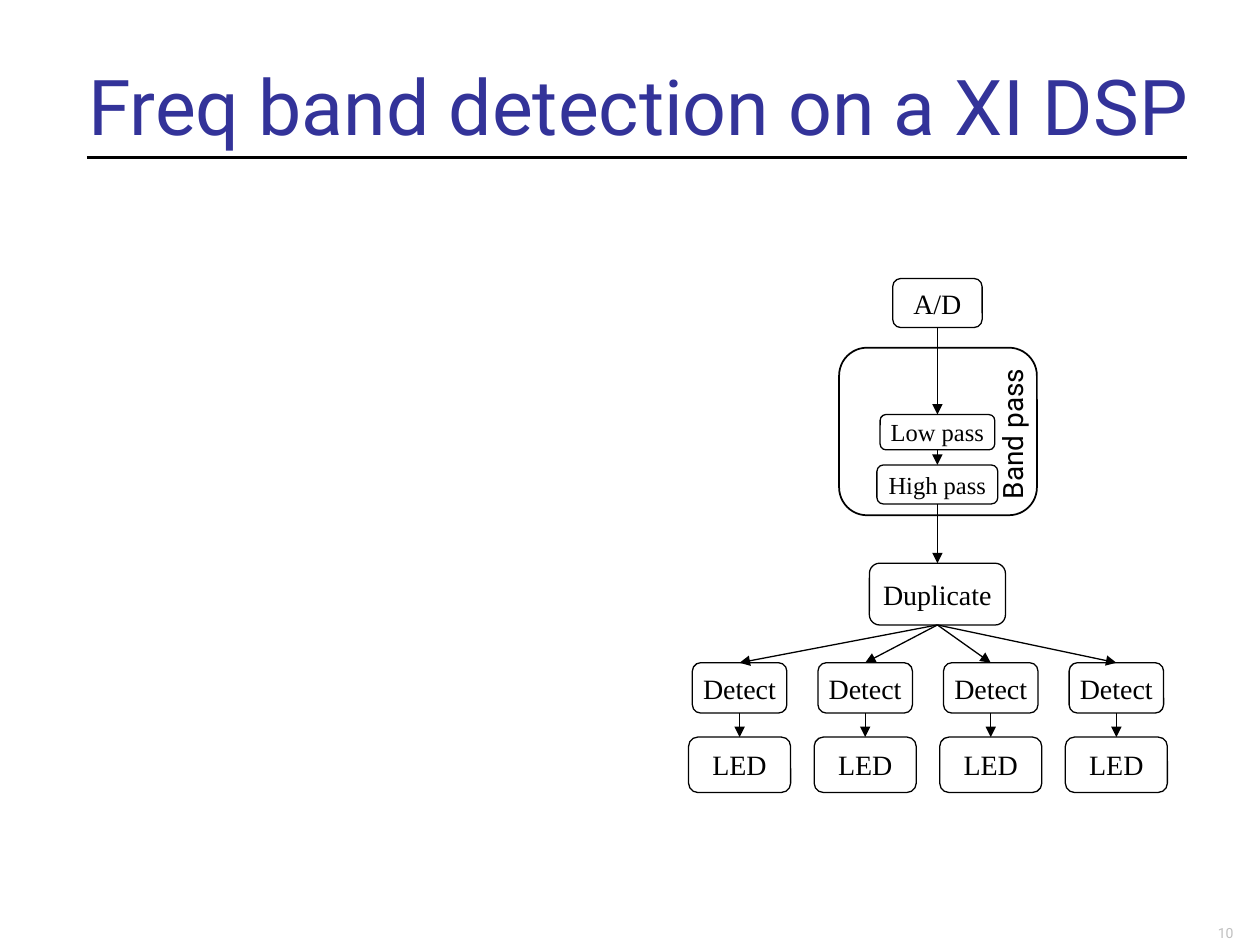
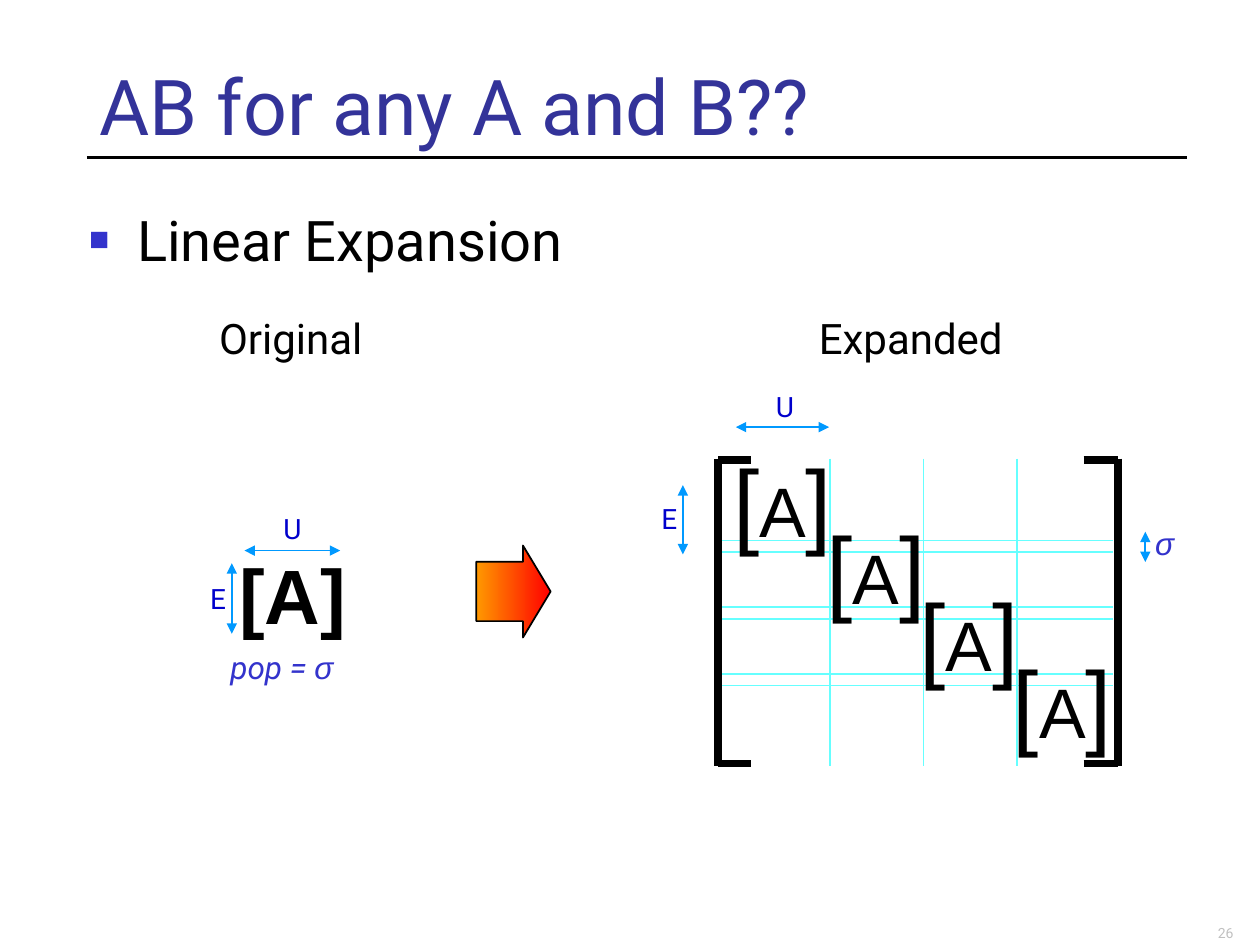
"""Build two slides: a band detection flow graph and a linear expansion matrix."""
from lxml.etree import SubElement
from pptx import Presentation
from pptx.dml.color import RGBColor
from pptx.enum.shapes import MSO_CONNECTOR as Link, MSO_SHAPE as Shape
from pptx.enum.text import MSO_ANCHOR as Anchor, MSO_AUTO_SIZE as Fit, PP_ALIGN as Align
from pptx.oxml.ns import qn
from pptx.util import Inches, Pt

WIDTH, HEIGHT = 10, 7.5
BLACK, TITLE, NUMBER = "000000", "333399", "C0C0C0"
DIMENSION, LETTER, SIGMA, GRID = "0099FF", "0000CC", "3333CC", "66FFFF"
SANS, SERIF, PLAIN = "Roboto", "Times New Roman", "Arial"

AXIS = 7.44
CHAIN = [
    ("A/D", 2.21, 0.71, 0.39, 16),
    ("Low pass", 3.29, 0.91, 0.28, 14),
    ("High pass", 3.69, 0.96, 0.31, 14),
    ("Duplicate", 4.47, 1.08, 0.49, 16),
]
BRANCH = [("Detect", 5.26, 0.75, 0.4, 16), ("LED", 5.85, 0.81, 0.44, 16)]
BRANCH_COUNT, FIRST_BRANCH, LAST_BRANCH = 4, 5.87, 8.86
BAND_BOX = (6.66, 2.76, 1.57, 1.33)
BAND_LABEL = (7.4, 3.24, 1.27, 0.37)

BLOCK_COUNT, COLUMN, ROW, OVERLAP = 4, 0.74, 0.53, 0.09
MATRIX_LEFT, MATRIX_RIGHT, MATRIX_TOP, MATRIX_BOTTOM = 5.7, 8.87, 3.64, 6.08
FIRST_COLUMN_END, FIRST_ROW_END = 6.59, 4.29
FIRST_BLOCK = (5.72, 3.47)
BLOCK_SIZE = (1.2, 1)
BLOCK = [("[", 54, PLAIN, BLACK), ("A", 40, PLAIN, BLACK), ("]", 54, PLAIN, BLACK)]
LABELS = [
    ((1.64, 2.43, 1.45, 0.5), [("Original", 24, SANS, BLACK)]),
    ((6.4, 2.43, 1.76, 0.5), [("Expanded", 24, SANS, BLACK)]),
    ((1.8, 4.3, 1.05, 0.84), [("[A]", 44, PLAIN, BLACK, "bold")]),
    ((2.15, 4.01, 0.36, 0.37), [("U", 16, SANS, LETTER)]),
    ((1.57, 4.57, 0.32, 0.37), [("E", 16, SANS, LETTER)]),
    ((6.06, 3.04, 0.36, 0.37), [("U", 16, SANS, LETTER)]),
    ((5.15, 3.93, 0.32, 0.37), [("E", 16, SANS, LETTER)]),
    ((9.07, 4.11, 0.35, 0.4), [("σ", 18, PLAIN, SIGMA, "italic")]),
    ((1.73, 5.09, 1.05, 0.4), [("pop = ", 18, SANS, SIGMA, "italic"),
                               ("σ", 18, PLAIN, SIGMA, "italic")]),
]
DIMENSIONS = [
    (1.94, 4.37, 2.7, 4.37),
    (1.84, 5.03, 1.84, 4.47),
    (5.84, 3.39, 6.58, 3.39),
    (5.42, 4.4, 5.42, 3.85),
    (9.09, 4.46, 9.09, 4.22),
]
EXPANSION_ARROW = (3.78, 4.33, 0.59, 0.73)


def rgb(colour):
    return RGBColor.from_string(colour)


def inches(lengths):
    return [Inches(length) for length in lengths]


def write(paragraph, runs):
    for words, size, face, colour, *styles in runs:
        run = paragraph.add_run()
        run.text = words
        font = run.font
        font.size, font.name, font.color.rgb = Pt(size), face, rgb(colour)
        font.bold, font.italic = "bold" in styles, "italic" in styles


def add_text(slide, place, runs, wrap=False, anchor=Anchor.TOP, align=Align.LEFT):
    box = slide.shapes.add_textbox(*inches(place))
    frame = box.text_frame
    frame.word_wrap, frame.vertical_anchor = wrap, anchor
    frame.auto_size = Fit.NONE if wrap else Fit.SHAPE_TO_FIT_TEXT
    paragraph = frame.paragraphs[0]
    paragraph.alignment = align
    write(paragraph, runs)
    return box


def add_line(slide, ends, colour=BLACK, weight=0.75, heads=()):
    line = slide.shapes.add_connector(Link.STRAIGHT, *inches(ends))
    line.line.color.rgb, line.line.width = rgb(colour), Pt(weight)
    for head in heads:
        SubElement(line.line._ln, qn(f"a:{head}"), type="triangle")
    SubElement(line._element.spPr, qn("a:effectLst"))
    return line


def add_outline(slide, kind, place, weight):
    shape = slide.shapes.add_shape(kind, *inches(place))
    shape.shadow.inherit = False
    shape.fill.background()
    shape.line.color.rgb, shape.line.width = rgb(BLACK), Pt(weight)
    return shape


def add_stage(slide, centre, stage):
    name, top, width, height, size = stage
    box = add_outline(slide, Shape.ROUNDED_RECTANGLE,
                      (centre - width / 2, top, width, height), 0.75)
    frame = box.text_frame
    frame.word_wrap, frame.vertical_anchor = False, Anchor.MIDDLE
    frame.paragraphs[0].alignment = Align.CENTER
    write(frame.paragraphs[0], [(name, size, SERIF, BLACK)])
    return box


def join(slide, upper, lower):
    arrow = add_line(slide, (0, 0, 1, 1), heads=["tailEnd"])
    arrow.begin_connect(upper, 2)
    arrow.end_connect(lower, 0)


def start_slide(deck, title, left, width, number):
    slide = deck.slides.add_slide(deck.slide_layouts[6])
    add_line(slide, (0.69, 1.25, 9.42, 1.25), weight=1.5)
    add_text(slide, (left, 0.42, width, 0.83), [(title, 44, SANS, TITLE)],
             wrap=True, anchor=Anchor.BOTTOM)
    add_text(slide, (6.56, 7.02, 3.33, 0.5), [(number, 8, SANS, NUMBER)],
             wrap=True, anchor=Anchor.BOTTOM, align=Align.RIGHT)
    return slide


def build_flow(deck):
    slide = start_slide(deck, "Freq band detection on a XI DSP", 0.6, 9.12, "10")
    chain = [add_stage(slide, AXIS, stage) for stage in CHAIN]
    for upper, lower in zip(chain, chain[1:]):
        join(slide, upper, lower)
    pitch = (LAST_BRANCH - FIRST_BRANCH) / (BRANCH_COUNT - 1)
    for index in range(BRANCH_COUNT):
        detect, led = [add_stage(slide, FIRST_BRANCH + index * pitch, stage)
                       for stage in BRANCH]
        join(slide, chain[-1], detect)
        join(slide, detect, led)
    add_outline(slide, Shape.ROUNDED_RECTANGLE, BAND_BOX, 1)
    band = add_text(slide, BAND_LABEL, [("Band pass", 16, SANS, BLACK)])
    band.rotation = 270


def add_bullet(slide):
    box = add_text(slide, (0.61, 1.58, 9.14, 5.05),
                   [("Linear Expansion", 32, SANS, BLACK)], wrap=True)
    properties = box.text_frame.paragraphs[0]._p.get_or_add_pPr()
    indent = Inches(0.38)
    properties.set("marL", str(indent))
    properties.set("indent", str(-indent))
    colour = SubElement(properties, qn("a:buClr"))
    SubElement(colour, qn("a:srgbClr"), val=SIGMA)
    SubElement(properties, qn("a:buSzPct"), val="60000")
    SubElement(properties, qn("a:buFont"), typeface=PLAIN)
    SubElement(properties, qn("a:buChar"), char="■")


def add_matrix(slide):
    for index in range(BLOCK_COUNT - 1):
        x = FIRST_COLUMN_END + index * COLUMN
        add_line(slide, (x, MATRIX_TOP, x, MATRIX_BOTTOM), GRID, 1)
        for offset in (0, OVERLAP):
            y = FIRST_ROW_END + index * ROW + offset
            add_line(slide, (8.83, y, 5.71, y), GRID, 1)
    left, top = FIRST_BLOCK
    for index in range(BLOCK_COUNT):
        corner = (left + index * COLUMN, top + index * ROW)
        add_text(slide, corner + BLOCK_SIZE, BLOCK, wrap=True)
    for edge, tip in ((MATRIX_LEFT, 5.96), (MATRIX_RIGHT, 8.6)):
        add_line(slide, (edge, MATRIX_TOP, edge, MATRIX_BOTTOM), weight=4.5)
        for y in (3.65, 6.06):
            add_line(slide, (tip, y, edge, y), weight=4.5)


def build_expansion(deck):
    slide = start_slide(deck, "AB for any A and B??", 0.69, 8.73, "26")
    add_bullet(slide)
    add_matrix(slide)
    for place, runs in LABELS:
        add_text(slide, place, runs)
    for ends in DIMENSIONS:
        add_line(slide, ends, DIMENSION, 1, ["headEnd", "tailEnd"])
    arrow = add_outline(slide, Shape.RIGHT_ARROW, EXPANSION_ARROW, 1)
    arrow.adjustments[0], arrow.adjustments[1] = 0.645, 0.372
    arrow.fill.gradient()
    arrow.fill.gradient_angle = 180
    for stop, colour in zip(arrow.fill.gradient_stops, ("FF0000", "FF9900")):
        stop.color.rgb = rgb(colour)


def main():
    deck = Presentation()
    deck.slide_width, deck.slide_height = inches((WIDTH, HEIGHT))
    build_flow(deck)
    build_expansion(deck)
    deck.save("out.pptx")


if __name__ == "__main__":
    main()
